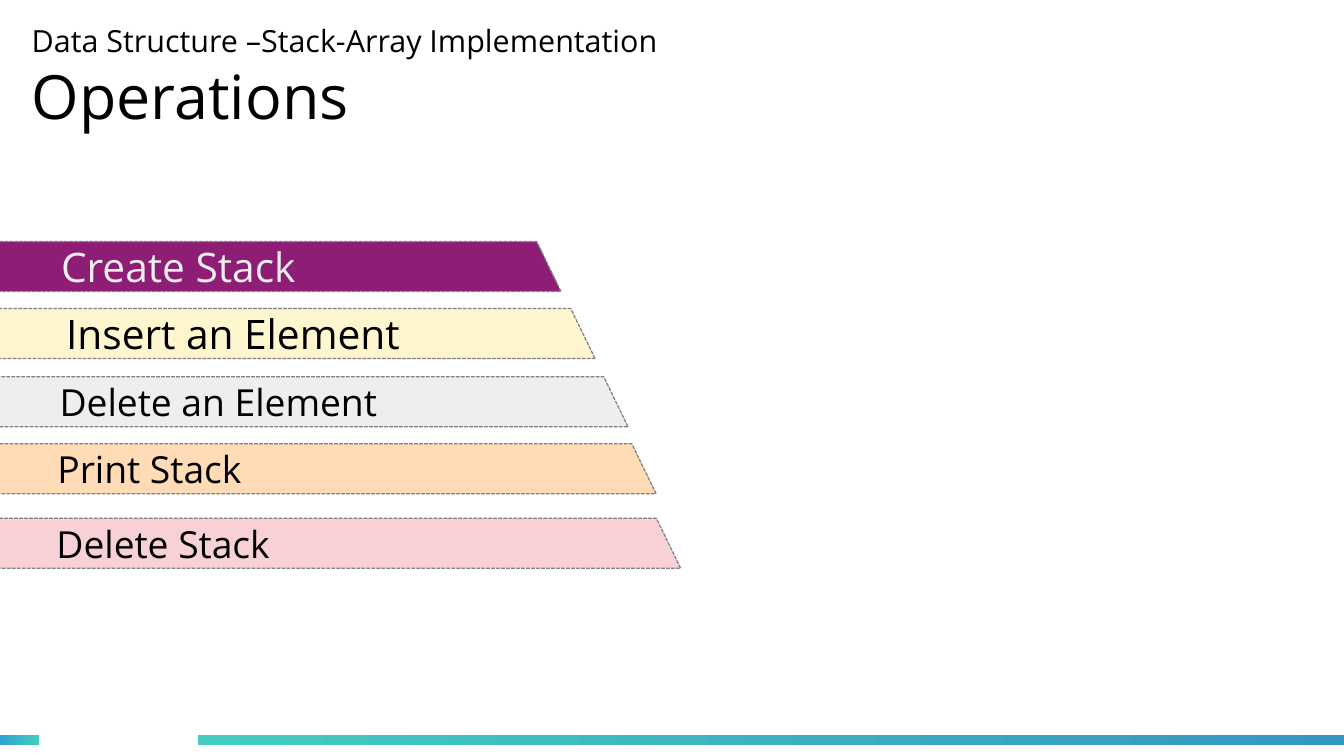
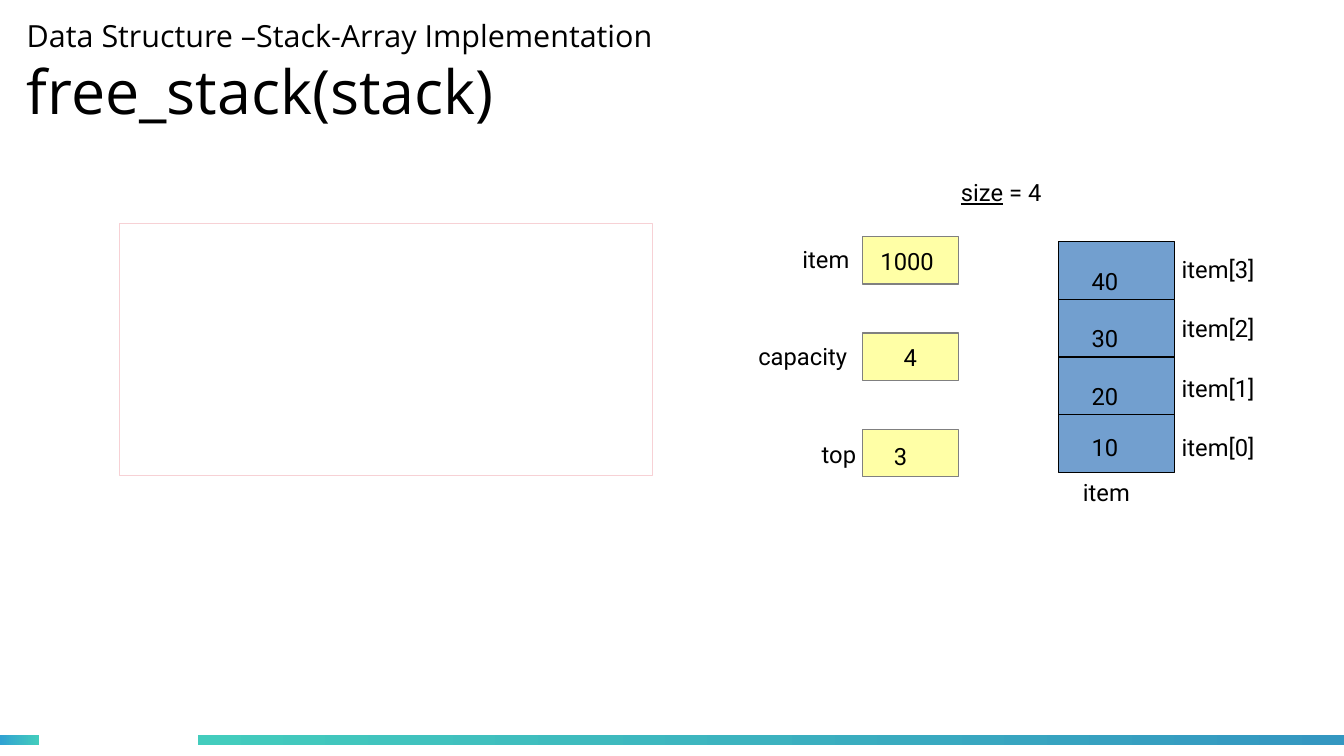
"""Build two slides on the array implementation of a stack."""
from pptx import Presentation
from pptx.dml.color import RGBColor
from pptx.enum.dml import MSO_LINE
from pptx.enum.shapes import MSO_SHAPE as SHAPE
from pptx.enum.text import MSO_ANCHOR as ANCHOR, MSO_AUTO_SIZE as AUTO_SIZE, PP_ALIGN as ALIGN
from pptx.util import Pt

TITLE_FONT, LABEL_FONT = "Open Sans", "Roboto"
BLACK = RGBColor(0x00, 0x00, 0x00)
WHITE = RGBColor(0xFF, 0xFF, 0xFF)
GRAY = RGBColor(0x80, 0x80, 0x80)
LIGHT_GRAY = RGBColor(0xEE, 0xEE, 0xEE)
PURPLE = RGBColor(0x8D, 0x1D, 0x75)
CREAM = RGBColor(0xFF, 0xF5, 0xCE)
PEACH = RGBColor(0xFF, 0xDB, 0xB6)
PINK = RGBColor(0xF7, 0xD1, 0xD5)
YELLOW = RGBColor(0xFF, 0xFF, 0xA6)
BLUE = RGBColor(0x72, 0x9F, 0xCF)
TEAL = RGBColor(0x43, 0xCC, 0xBD)
SKY = RGBColor(0x30, 0xA2, 0xD2)
OCEAN = RGBColor(0x34, 0x97, 0xC1)

SLIDE_W, SLIDE_H = 793.44, 446.4
FOOTER_TOP, FOOTER_H = 434, 6
SUBJECT = "Data Structure –Stack-Array Implementation"

BANDS = [
    ("Create Stack", 24, LIGHT_GRAY, PURPLE, -18.7, 142.6, 349.9, 19.7),
    ("Insert an Element", 24, BLACK, CREAM, -17.3, 182.2, 368.6, 19.7),
    ("Delete an Element", 22, BLACK, LIGHT_GRAY, -15.8, 222.5, 386.6, 12.9),
    ("Print Stack", 22, BLACK, PEACH, -18.7, 262.1, 406.1, 12.9),
    ("Delete Stack", 22, BLACK, PINK, -14.4, 306, 416.2, 7.2),
]
FIELDS = [
    ("item", 466.6, 141.1, "1000", 10.8, 1),
    ("capacity", 440.6, 198, "4", 24.5, 1),
    ("top", 478, 256.3, "3", 18.8, 4),
]
CELLS = [("40", 12), ("30", 12), ("20", 12), ("10", 4.5)]


def set_font(p, name, size, color=BLACK):
    """Format a whole paragraph."""
    p.font.name, p.font.size = name, Pt(size)
    p.font.color.rgb = color


def set_insets(tf, left, top, right, bottom):
    """Set the four inner margins of a text frame."""
    tf.margin_left, tf.margin_top = Pt(left), Pt(top)
    tf.margin_right, tf.margin_bottom = Pt(right), Pt(bottom)


def add_box(slide, kind, x, y, w, h, fill, line):
    """Add a filled shape with a hairline border."""
    sp = slide.shapes.add_shape(kind, Pt(x), Pt(y), Pt(w), Pt(h))
    sp.shadow.inherit = False
    sp.fill.solid()
    sp.fill.fore_color.rgb = fill
    sp.line.color.rgb = line
    sp.line.width = Pt(0)
    return sp


def fill_text(sp, text, font, size, color, left, top=0):
    """Write left-aligned text, vertically centred, inside a shape."""
    tf = sp.text_frame
    tf.word_wrap = True
    tf.vertical_anchor = ANCHOR.MIDDLE
    set_insets(tf, left, top, 0, 0)
    p = tf.paragraphs[0]
    p.text, p.alignment = text, ALIGN.LEFT
    set_font(p, font, size, color)


def add_label(slide, text, x, y):
    """Add a small free-standing label and return its paragraph."""
    tf = slide.shapes.add_textbox(Pt(x), Pt(y), Pt(90), Pt(27)).text_frame
    tf.word_wrap = True
    p = tf.paragraphs[0]
    p.text = text
    set_font(p, LABEL_FONT, 14)
    return p


def add_footer_bar(slide, layout, x, w, start, end):
    """Draw a gradient bar and move it to the shared layout."""
    sp = slide.shapes.add_shape(SHAPE.RECTANGLE, Pt(x), Pt(FOOTER_TOP), Pt(w), Pt(FOOTER_H))
    sp.shadow.inherit = False
    sp.line.fill.background()
    sp.fill.gradient()
    sp.fill.gradient_angle = 0
    for stop, color in zip(sp.fill.gradient_stops, (start, end)):
        stop.color.rgb = color
    layout.shapes.element.append(sp.element)


def add_title(slide, topic, x, y, w):
    """Place the two-line title: the subject above the topic."""
    title = slide.shapes.title
    title.left, title.top, title.width, title.height = Pt(x), Pt(y), Pt(w), Pt(73.5)
    tf = title.text_frame
    tf.word_wrap, tf.auto_size = True, AUTO_SIZE.NONE
    tf.vertical_anchor = ANCHOR.MIDDLE
    set_insets(tf, 0, 0, 0, 0)
    p = tf.paragraphs[0]
    p.alignment = ALIGN.LEFT
    set_font(p, TITLE_FONT, 36)
    r = p.add_run()
    r.text, r.font.size = SUBJECT, Pt(18)
    p.add_line_break()
    p.add_run().text = topic


def add_band(slide, text, size, color, fill, x, y, w, inset):
    """Add a slanted band that runs in from the left edge."""
    sp = add_box(slide, SHAPE.PARALLELOGRAM, x, y, w, 29.5, fill, GRAY)
    sp.adjustments[0] = 0.485
    sp.element.spPr.xfrm.set("flipH", "1")
    sp.line.dash_style = MSO_LINE.SQUARE_DOT
    fill_text(sp, text, TITLE_FONT, size, color, inset)


def add_fields(slide):
    """Draw the labelled member boxes of the stack."""
    for i, (name, x, y, value, left, top) in enumerate(FIELDS):
        sp = add_box(slide, SHAPE.RECTANGLE, 509, 139.7 + 56.9 * i, 57, 28, YELLOW, GRAY)
        fill_text(sp, value, LABEL_FONT, 14, BLACK, left, top)
        add_label(slide, name, x, y)


def add_array(slide):
    """Draw the item array with its index labels."""
    cell_h = 34.1
    for i, (value, top) in enumerate(CELLS):
        sp = add_box(slide, SHAPE.RECTANGLE, 625, 142.6 + cell_h * i, 68.4, cell_h, BLUE, BLACK)
        fill_text(sp, value, LABEL_FONT, 14, BLACK, 19.4, top)
        add_label(slide, f"item[{len(CELLS) - 1 - i}]", 690.5, 147 + 35 * i)
    add_label(slide, "item", 632.2, 278.6)


def main():
    """Build and save the presentation."""
    prs = Presentation()
    prs.slide_width, prs.slide_height = Pt(SLIDE_W), Pt(SLIDE_H)
    layout = prs.slide_layouts[5]

    operations = prs.slides.add_slide(layout)
    add_footer_bar(operations, layout, 0, 23, SKY, TEAL)
    add_footer_bar(operations, layout, 117, SLIDE_W - 117, TEAL, OCEAN)
    add_title(operations, "Operations", 18.7, 8.6, 553)
    for band in BANDS:
        add_band(operations, *band)

    free_stack = prs.slides.add_slide(layout)
    add_title(free_stack, "free_stack(stack)", 15.8, 5.8, 721.4)
    add_box(free_stack, SHAPE.RECTANGLE, 70.6, 131.8, 314.6, 149, WHITE, PINK)
    size = add_label(free_stack, "size", 560.2, 101.5)
    size.runs[0].font.underline = True
    size.add_run().text = " = 4"
    add_fields(free_stack)
    add_array(free_stack)

    prs.save("out.pptx")


if __name__ == "__main__":
    main()
